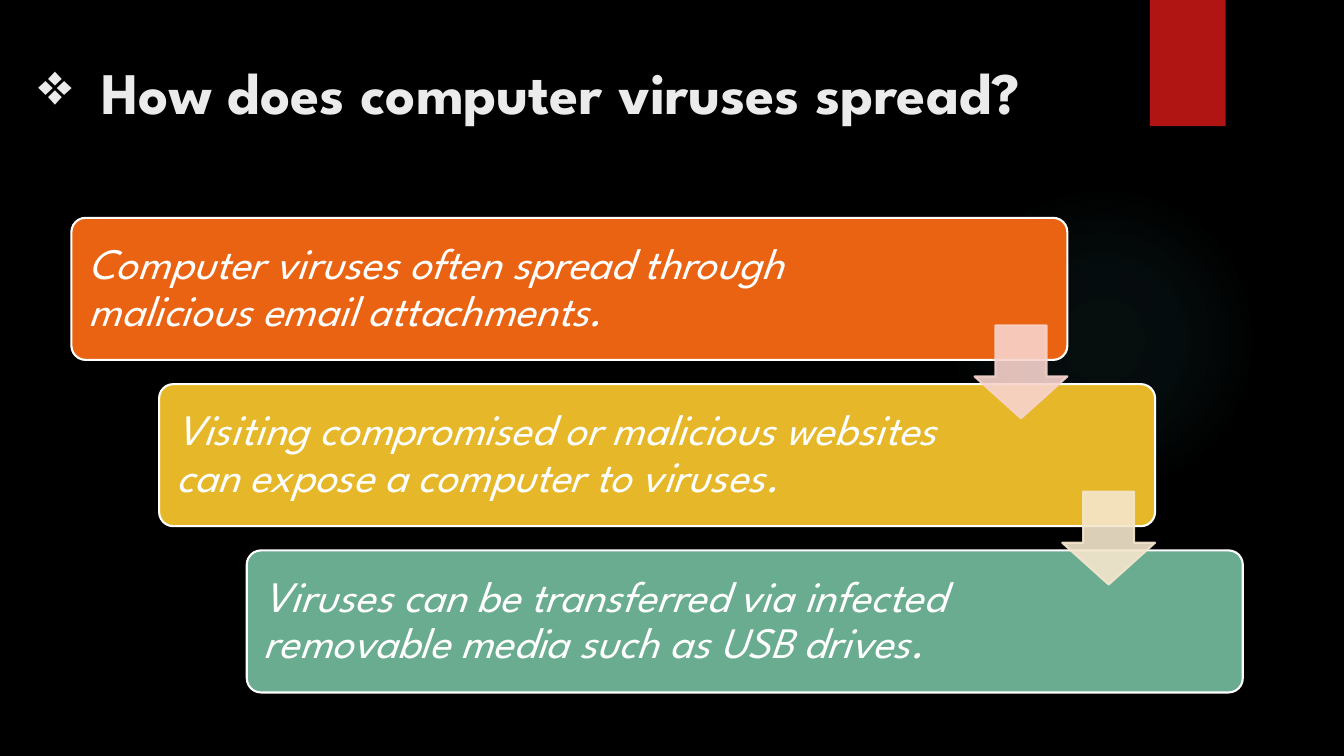
from lxml import etree
from pptx import Presentation
from pptx.dml.color import RGBColor
from pptx.enum.shapes import MSO_SHAPE
from pptx.enum.text import MSO_ANCHOR, PP_ALIGN
from pptx.oxml import parse_xml
from pptx.oxml.ns import nsdecls, qn
from pptx.util import Cm, Pt

OVAL, RECT = MSO_SHAPE.OVAL, MSO_SHAPE.RECTANGLE
ROUND, DOWN = MSO_SHAPE.ROUNDED_RECTANGLE, MSO_SHAPE.DOWN_ARROW
TOP, MIDDLE, LEFT = MSO_ANCHOR.TOP, MSO_ANCHOR.MIDDLE, PP_ALIGN.LEFT

FONT = "League Spartan"
COLORS = {
    "back": "000000", "glow": "50B9C1", "tab": "B01513",
    "title": "EBEBEB", "white": "FFFFFF",
    "orange": "EA6312", "gold": "E6B729", "green": "6AAC90",
    "pink": "F7D3CC", "cream": "F5E6CD",
}
# Card text, card colour, colour of the arrow to the next card
STEPS = [
    ("Computer viruses often spread through malicious email attachments.",
     "orange", "pink"),
    ("Visiting compromised or malicious websites can expose a computer to viruses.",
     "gold", "cream"),
    ("Viruses can be transferred via infected removable media such as USB drives.",
     "green", None),
]


def rgb(name):
    return RGBColor.from_string(COLORS[name])


def add_part(slide, kind, box, fill, line=None):
    part = slide.shapes.add_shape(kind, *(Cm(n) for n in box))
    part.shadow.inherit = False
    part.fill.solid()
    part.fill.fore_color.rgb = rgb(fill)
    if line:
        part.line.color.rgb = rgb(line)
        part.line.width = Pt(1.5)
    else:
        part.line.fill.background()
    return part


def style(para, size, color):
    para.alignment = LEFT
    para.font.name = FONT
    para.font.size = Pt(size)
    para.font.color.rgb = rgb(color)


def add_decor(slide):
    slide.background.fill.solid()
    slide.background.fill.fore_color.rgb = rgb("back")
    # Soft round glow
    glow = add_part(slide, OVAL, (23.9, 4.65, 7.82, 7.82), "glow")
    stops = "".join(
        f'<a:gs pos="{pos}000"><a:srgbClr val="{COLORS["glow"]}">'
        f'<a:alpha val="{alpha}000"/></a:srgbClr></a:gs>'
        for pos, alpha in ((0, 7), (36, 6), (69, 0), (100, 0)))
    grad = parse_xml(
        f'<a:gradFill {nsdecls("a")}><a:gsLst>{stops}</a:gsLst>'
        '<a:path path="circle"><a:fillToRect l="50000" t="50000" '
        'r="50000" b="50000"/></a:path></a:gradFill>')
    props = glow.element.spPr
    props.replace(props.find(qn("a:solidFill")), grad)
    # Red tab at the top edge
    add_part(slide, RECT, (28.98, 0, 1.91, 3.18), "tab")


def add_title(slide, box):
    title = slide.shapes.title
    title.left, title.top, title.width, title.height = (Cm(n) for n in box)
    frame = title.text_frame
    frame.text = "How does computer viruses spread?"
    frame.vertical_anchor = TOP
    frame.word_wrap = True
    para = frame.paragraphs[0]
    style(para, 42, "title")
    para.font.bold = True
    para.space_before = Pt(0)
    para.space_after = Pt(6)
    # Diamond bullet with a hanging indent
    props = para._p.get_or_add_pPr()
    props.set("marL", str(Cm(1.59)))
    props.set("indent", str(Cm(-1.59)))
    bullet = parse_xml(f'<a:buChar {nsdecls("a")} char="❖"/>')
    props.insert_element_before(bullet, "a:tabLst", "a:defRPr", "a:extLst")


def add_card(slide, box, text, color):
    card = add_part(slide, ROUND, box, color, "white")
    card.adjustments[0] = 0.1
    frame = card.text_frame
    frame.word_wrap = True
    frame.vertical_anchor = MIDDLE
    frame.margin_left = frame.margin_top = frame.margin_bottom = Cm(0.33)
    frame.margin_right = Cm(4.88)
    frame.text = text
    para = frame.paragraphs[0]
    style(para, 31, "white")
    para.font.italic = True
    para.line_spacing = 0.9


def add_arrow(slide, box, color):
    arrow = add_part(slide, DOWN, box, color, color)
    arrow.adjustments[0] = 0.55
    arrow.adjustments[1] = 0.45
    # Fill and line at 90% opacity
    for tone in arrow.element.spPr.iter(qn("a:srgbClr")):
        etree.SubElement(tone, qn("a:alpha")).set("val", "90000")


def add_stairs(slide, box):
    left, top, width, height = box
    card_w, card_h, side = 25.1, 3.58, 2.34
    gaps = len(STEPS) - 1
    step_x, step_y = (width - card_w) / gaps, (height - card_h) / gaps
    spots = [(left + i * step_x, top + i * step_y) for i in range(len(STEPS))]
    for (x, y), (text, color, _) in zip(spots, STEPS):
        add_card(slide, (x, y, card_w, card_h), text, color)
    # Arrows lie above all cards, flush with each right edge
    for (x, y), (_, _, color) in zip(spots, STEPS):
        if color:
            add_arrow(slide, (x + card_w - side, y + 2.71, side, side), color)


def main():
    deck = Presentation()
    deck.slide_width, deck.slide_height = Cm(33.87), Cm(19.05)
    slide = deck.slides.add_slide(deck.slide_layouts[5])
    add_decor(slide)
    add_title(slide, (0.71, 1.27, 28.47, 3.89))
    add_stairs(slide, (1.8, 5.49, 29.52, 11.96))
    deck.save("out.pptx")


if __name__ == "__main__":
    main()
